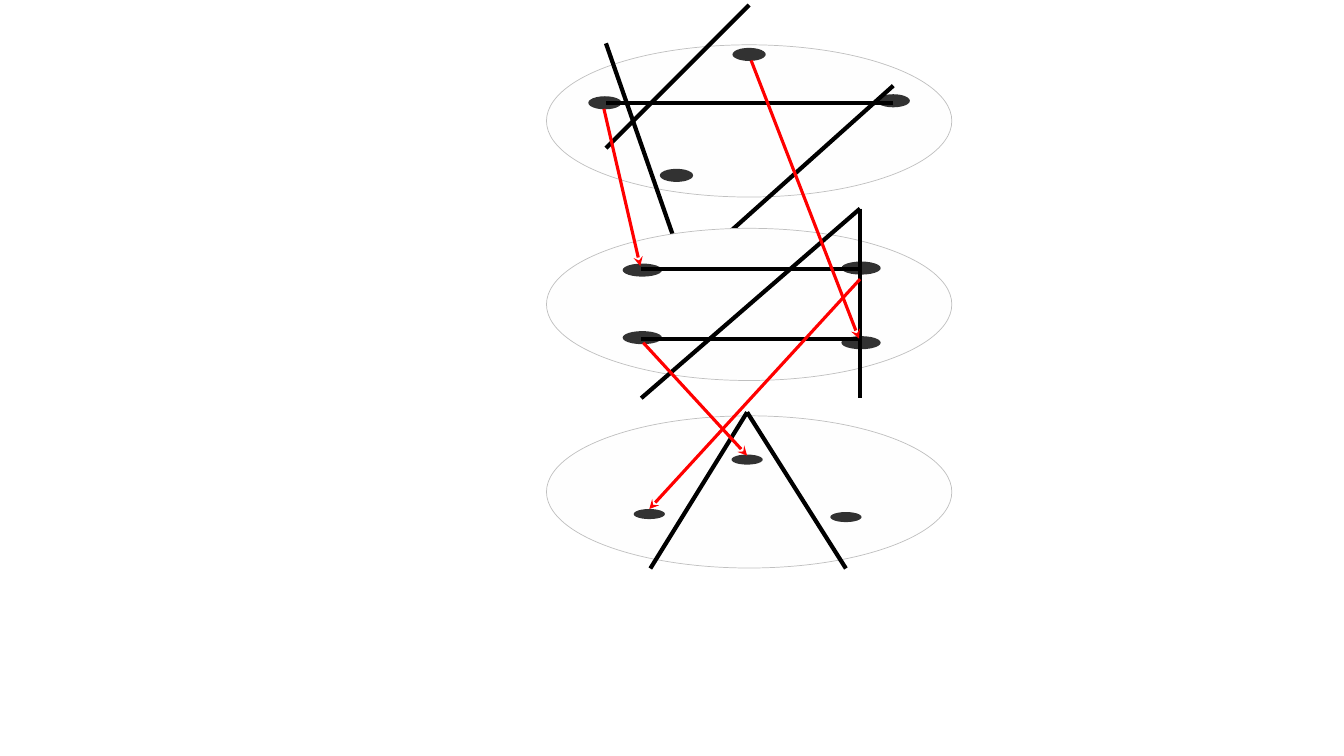
from dataclasses import dataclass

from lxml.etree import SubElement
from pptx import Presentation
from pptx.dml.color import RGBColor
from pptx.enum.shapes import MSO_CONNECTOR, MSO_SHAPE
from pptx.oxml.ns import qn
from pptx.util import Inches, Pt


@dataclass(frozen=True)
class Theme:
    plane: str = "FEFEFE"
    rim: str = "C0C0C0"
    node: str = "323232"
    edge: str = "000000"
    link: str = "FF0000"
    rim_pt: float = 0.5
    edge_pt: float = 3
    link_pt: float = 2.25


THEME = Theme()
MID_X = 7.43
PLANE_SIZE = (4.02, 1.51)

# Each layer: plane centre height, node size, node centres, edges
LAYERS = [
    (1.2, (0.33, 0.13),
     [(7.43, 0.54), (6, 1.02), (8.86, 1), (6.71, 1.74)],
     [((7.43, 0.05), (6.01, 1.47)), ((8.86, 0.85), (6.68, 2.8)),
      ((8.86, 1.02), (6.01, 1.02)), ((6.69, 2.38), (6.01, 0.43))]),
    (3.02, (0.39, 0.13),
     [(8.54, 2.66), (6.37, 2.68), (6.37, 3.35), (8.54, 3.4)],
     [((6.36, 2.67), (8.53, 2.67)), ((6.36, 3.95), (8.53, 2.07)),
      ((8.53, 2.07), (8.53, 3.95)), ((6.36, 3.36), (8.53, 3.36))]),
    (4.88, (0.31, 0.1),
     [(7.41, 4.56), (8.39, 5.13), (6.44, 5.1)],
     [((7.41, 4.09), (8.39, 5.64)), ((7.41, 4.09), (6.45, 5.64))]),
]

# Arrows from one layer to the next
LINKS = [
    ((5.99, 1.08), (6.35, 2.64)),
    ((7.45, 0.6), (8.52, 3.36)),
    ((6.38, 3.4), (7.41, 4.52)),
    ((8.53, 2.77), (6.44, 5.05)),
]


def add_oval(slide, kind, mid, size, fill, rim=None):
    """Place a shape around its centre."""
    (x, y), (w, h) = mid, size
    oval = slide.shapes.add_shape(
        kind, Inches(x - w / 2), Inches(y - h / 2), Inches(w), Inches(h))
    oval.shadow.inherit = False
    oval.fill.solid()
    oval.fill.fore_color.rgb = RGBColor.from_string(fill)
    if rim:
        oval.line.color.rgb = RGBColor.from_string(rim)
        oval.line.width = Pt(THEME.rim_pt)
    else:
        oval.line.fill.background()


def add_line(slide, start, end, color, width, arrow=False):
    """Draw a straight line, with a stealth head if asked."""
    line = slide.shapes.add_connector(
        MSO_CONNECTOR.STRAIGHT, *map(Inches, start + end))
    line.line.color.rgb = RGBColor.from_string(color)
    line.line.width = Pt(width)
    if arrow:
        SubElement(line.line._get_or_add_ln(), qn("a:tailEnd"), type="stealth")
    SubElement(line._element.spPr, qn("a:effectLst"))


def add_layer(slide, height, size, nodes, edges):
    """Draw one plane with its nodes and edges."""
    add_oval(slide, MSO_SHAPE.OVAL, (MID_X, height), PLANE_SIZE,
             THEME.plane, THEME.rim)
    for node in nodes:
        add_oval(slide, MSO_SHAPE.FLOWCHART_CONNECTOR, node, size, THEME.node)
    for start, end in edges:
        add_line(slide, start, end, THEME.edge, THEME.edge_pt)


def main():
    deck = Presentation()
    deck.slide_width, deck.slide_height = Inches(13.33), Inches(7.5)
    slide = deck.slides.add_slide(deck.slide_layouts[6])

    # Lower planes cover the edges that hang from the ones above
    for layer in LAYERS:
        add_layer(slide, *layer)
    for start, end in LINKS:
        add_line(slide, start, end, THEME.link, THEME.link_pt, arrow=True)

    deck.save("out.pptx")


if __name__ == "__main__":
    main()
